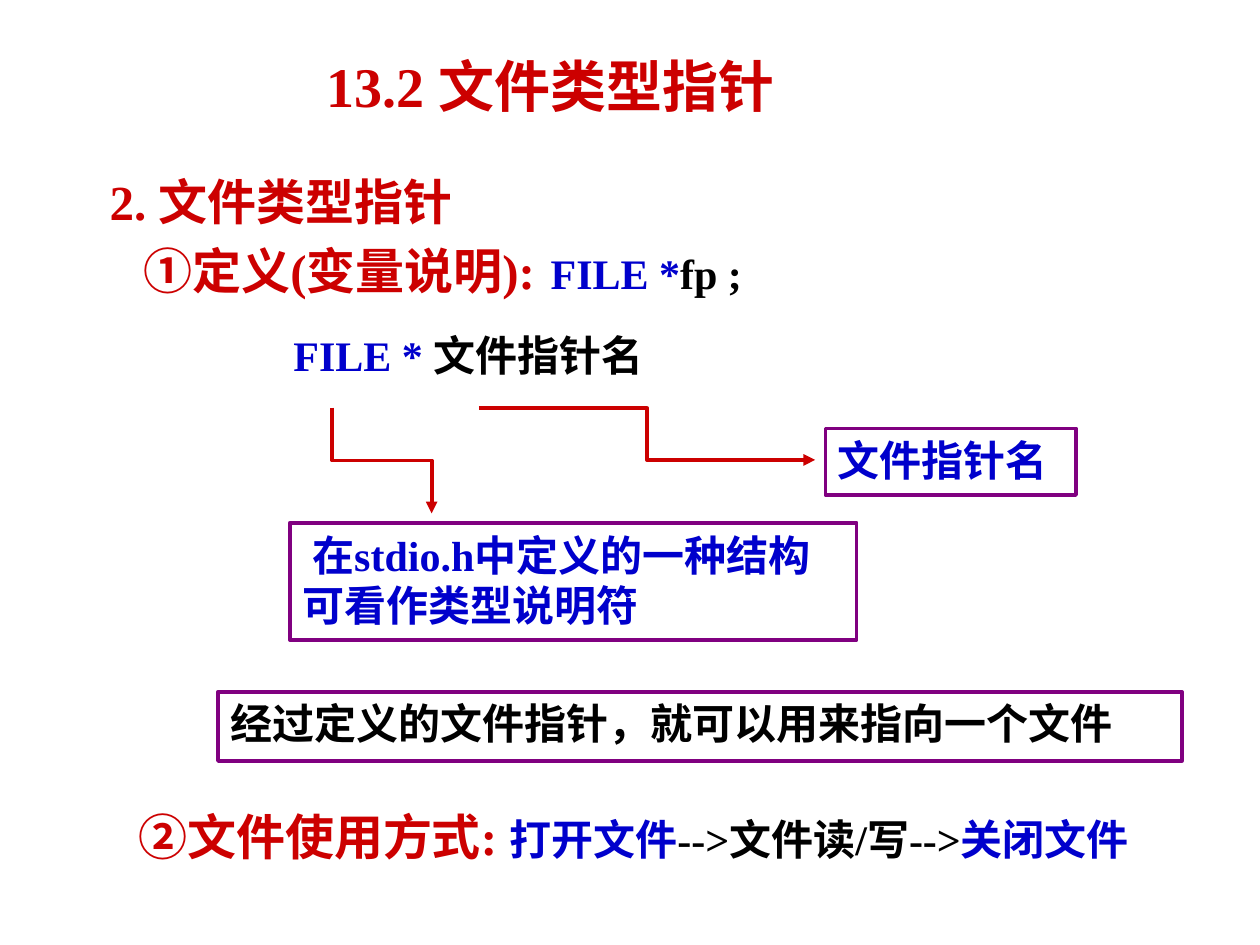
"""Build the slide on file type pointers in C."""
from dataclasses import dataclass

import pptx
import pptx.dml.color
import pptx.enum.shapes
import pptx.enum.text
import pptx.oxml
import pptx.oxml.ns
import pptx.util
from pptx.util import Inches

RED = pptx.dml.color.RGBColor(0xCC, 0x00, 0x00)
BLUE = pptx.dml.color.RGBColor(0x00, 0x00, 0xCC)
PURPLE = pptx.dml.color.RGBColor(0x80, 0x00, 0x80)
BLACK = pptx.dml.color.RGBColor(0x00, 0x00, 0x00)
WHITE = pptx.dml.color.RGBColor(0xFF, 0xFF, 0xFF)
Box = tuple[float, float, float, float]


@dataclass
class Run:
    text: str
    color: pptx.dml.color.RGBColor
    size: int = 24


@dataclass
class Para:
    runs: list[Run]
    margin: float = 0
    indent: float = 0
    before: float = 0
    level: int = 0
    tab: float | None = None
    align: int = pptx.enum.text.PP_ALIGN.LEFT


@dataclass
class Panel:
    box: Box
    para: Para


@dataclass
class Elbow:
    begin: tuple[float, float]
    end: tuple[float, float]
    rotation: int = 0


PANELS = [
    Panel((2.3, 4.15, 4.5, 0.93),
          Para([Run("在stdio.h中定义的一种结构可看作类型说明符", BLUE)], indent=0.08)),
    Panel((6.55, 3.4, 1.99, 0.53), Para([Run("文件指针名", BLUE)])),
    Panel((1.73, 5.49, 7.65, 0.55),
          Para([Run("经过定义的文件指针，就可以用来指向一个文件", BLACK)])),
]
ELBOWS = [
    Elbow((3.45, 3.26), (2.61, 4.05), rotation=270),
    Elbow((3.8, 3.24), (6.47, 3.65)),
]
LABELS = [
    Panel((2.23, 2.57, 4.08, 0.5),
          Para([Run("FILE * ", BLUE), Run("文件指针名", BLACK)])),
    Panel((0, 6.35, 9.41, 0.57),
          Para([Run("②文件使用方式: ", RED, 28), Run("打开文件", BLUE),
                Run("-->文件读/写-->", BLACK), Run("关闭文件", BLUE)],
               margin=1, level=2)),
]
TITLE = Para([Run("13.2 文件类型指针", RED, 32)],
             align=pptx.enum.text.PP_ALIGN.CENTER)
BODY = [
    Para([Run("2. 文件类型指针", RED, 28)], margin=0.81, indent=-0.31, level=1),
    Para([Run("①定义(变量说明):\t", RED, 28), Run("FILE *", BLUE), Run("fp ;", BLACK)],
         indent=0.77, before=5.6, level=1, tab=4.39),
]


def add_xml(parent, tag: str, **attrs: str):
    el = pptx.oxml.parse_xml(f"<{tag} {pptx.oxml.ns.nsdecls('a')}/>")
    for name, value in attrs.items():
        el.set(name, value)
    parent.append(el)
    return el


def place(sp, box: Box) -> None:
    for name, value in zip(("left", "top", "width", "height"), box):
        setattr(sp, name, Inches(value))


def write(sp, paras: list[Para], inset: float = 0.1) -> None:
    tf = sp.text_frame
    frame_format = {
        "word_wrap": True,
        "auto_size": pptx.enum.text.MSO_AUTO_SIZE.NONE,
        "vertical_anchor": pptx.enum.text.MSO_ANCHOR.TOP,
        "margin_left": Inches(inset),
        "margin_right": Inches(inset),
    }
    for name, value in frame_format.items():
        setattr(tf, name, value)
    for i, para in enumerate(paras):
        p = tf.paragraphs[0] if i == 0 else tf.add_paragraph()
        pPr = p._p.get_or_add_pPr()
        pPr.set("marL", str(Inches(para.margin)))
        pPr.set("indent", str(Inches(para.indent)))
        add_xml(pPr, "a:buNone")
        if para.tab is not None:
            tabs = add_xml(pPr, "a:tabLst")
            add_xml(tabs, "a:tab", pos=str(Inches(para.tab)), algn="l")
        para_format = {"level": para.level, "alignment": para.align,
                       "space_before": pptx.util.Pt(para.before)}
        for name, value in para_format.items():
            setattr(p, name, value)
        for run in para.runs:
            r = p.add_run()
            r.text = run.text
            font_format = {"name": "Times New Roman", "bold": True,
                           "size": pptx.util.Pt(run.size)}
            for name, value in font_format.items():
                setattr(r.font, name, value)
            r.font.color.rgb = run.color


def add_panel(s, panel: Panel) -> None:
    sp = s.shapes.add_shape(pptx.enum.shapes.MSO_SHAPE.RECTANGLE,
                            *map(Inches, panel.box))
    sp.shadow.inherit = False
    sp.fill.solid()
    sp.fill.fore_color.rgb = WHITE
    sp.line.color.rgb = PURPLE
    sp.line.width = pptx.util.Pt(2)
    write(sp, [panel.para])


def add_label(s, label: Panel) -> None:
    write(s.shapes.add_textbox(*map(Inches, label.box)), [label.para])


def add_elbow(s, elbow: Elbow) -> None:
    sp = s.shapes.add_connector(pptx.enum.shapes.MSO_CONNECTOR.ELBOW,
                                *map(Inches, elbow.begin + elbow.end))
    sp.line.color.rgb = RED
    sp.line.width = pptx.util.Pt(2.25)
    spPr = sp._element.spPr
    if elbow.rotation:
        spPr.find(pptx.oxml.ns.qn("a:xfrm")).set("rot", str(elbow.rotation * 60000))
    add_xml(spPr.find(pptx.oxml.ns.qn("a:ln")), "a:tailEnd", type="triangle")
    add_xml(spPr, "a:effectLst")


def main() -> None:
    prs = pptx.Presentation()
    prs.slide_width, prs.slide_height = Inches(10), Inches(7.5)
    s = prs.slides.add_slide(prs.slide_layouts[1])
    title, body = s.shapes.title, s.placeholders[1]
    place(title, (2.4, 0.36, 3.94, 0.63))
    write(title, [TITLE], inset=0)
    place(body, (0.27, 1.31, 6.38, 1.02))
    write(body, BODY)
    for elbow in ELBOWS:
        add_elbow(s, elbow)
    for panel in PANELS:
        add_panel(s, panel)
    for label in LABELS:
        add_label(s, label)
    prs.save("out.pptx")


if __name__ == "__main__":
    main()
